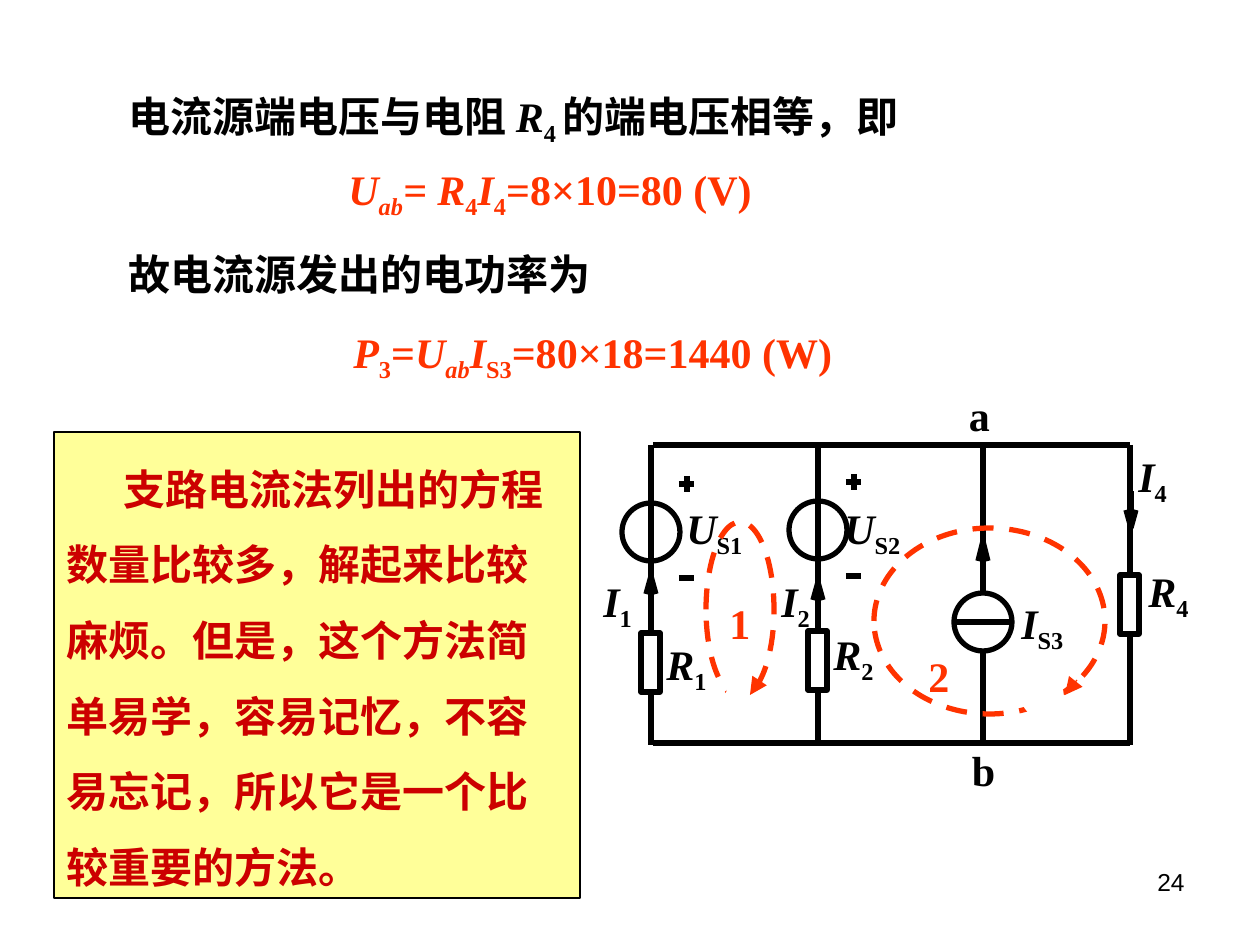
"""Build the slide on current-source power and the branch current method."""
from lxml import etree
from pptx import Presentation, util as u
from pptx.dml.color import RGBColor
from pptx.enum import dml, shapes, text
from pptx.oxml.ns import qn

PX = 914400 // 126
BLACK, WHITE, ORANGE, RED, YELLOW = "000000", "FFFFFF", "FF3300", "CC0000", "FFFF99"
SERIF, SANS = "Times New Roman", "Arial"
DIAMETER, RESISTOR = 58, (19, 59)

STATEMENTS = [
    ((116, 84, 851, 63), BLACK, [("电流源端电压与电阻 ", ""), ("R", "i"), ("4 ", "s"), ("的端电压相等，即", "")]),
    ((116, 242, 557, 63), BLACK, [("故电流源发出的电功率为", "")]),
    ((341, 320, 557, 63), ORANGE, [("P", "i"), ("3", "s"), ("=", ""), ("U", "i"), ("ab", "is"),
                                   ("I", "i"), ("S3", "s"), ("=80×18=1440 (W)", "")]),
    ((336, 157, 620, 63), ORANGE, [("U", "i"), ("ab", "is"), ("= R", "i"), ("4", "s"), ("I", "i"),
                                   ("4", "s"), ("=8×10=80 (V)", "")]),
]
COMMENT = "支路电流法列出的方程数量比较多，解起来比较麻烦。但是，这个方法简单易学，容易记忆，不容易忘记，所以它是一个比较重要的方法。"
PART_LABELS = [("U", "S1", 674, 496, 116), ("U", "S2", 832, 496, 126), ("I", "S3", 1009, 591, 95),
               ("R", "1", 654, 632, 84), ("R", "2", 821, 622, 95), ("R", "4", 1136, 559, 95)]
CURRENT_LABELS = [("I", "2", 769, 569, 73), ("I", "1", 591, 569, 73), ("I", "4", 1126, 444, 84)]
LOOP_LABELS = [("1", 717, 591, 63), ("2", 916, 644, 73)]
NODE_LABELS = [("a", 950, 383, 59), ("b", 954, 738, 59)]
SOURCE_BRANCHES = [(818, 443, 582), (651, 445, 576)]
LOOPS = [(706, 522, 68, 175), (874, 528, 231, 186)]
LOOP_GAPS = [(1021, 675, 43), (726, 679, 30)]
LOOP_ARROWS = [(1077, 680, 1065, 695), (764, 674, 750, 695)]

deck = Presentation()
deck.slide_width, deck.slide_height = u.Inches(10), u.Inches(7.5)
page = deck.slides.add_slide(deck.slide_layouts[6])


def emu(*lengths):
    return [length * PX for length in lengths]


def color(value):
    return RGBColor.from_string(value)


def write(box, spans, ink, size=24, font=SERIF, bold=True, align=None):
    frame = box.text_frame
    frame.word_wrap = True
    frame.vertical_anchor = text.MSO_ANCHOR.TOP
    para = frame.paragraphs[0]
    para.alignment = align or text.PP_ALIGN.LEFT
    for words, style in spans:
        span = para.add_run()
        span.text = words
        span.font.size, span.font.name, span.font.bold = u.Pt(size), font, bold
        span.font.italic = "i" in style
        span.font.color.rgb = color(ink)
        if "s" in style:
            span.font._element.set("baseline", "-25000")
    return para


def label(place, spans, ink=BLACK, **look):
    box = page.shapes.add_textbox(*emu(*place))
    write(box, spans, ink, **look)
    box.text_frame.auto_size = text.MSO_AUTO_SIZE.SHAPE_TO_FIT_TEXT


def symbols(labels):
    for letter, index, x, y, width in labels:
        label((x, y, width, 63), [(letter, "i"), (index, "s")])


def shape(kind, place, fill=None, line=None, weight=3, dash=False):
    item = page.shapes.add_shape(kind, *emu(*place))
    item.shadow.inherit = False
    if fill:
        item.fill.solid()
        item.fill.fore_color.rgb = color(fill)
    else:
        item.fill.background()
    if line:
        item.line.color.rgb = color(line)
        item.line.width = u.Pt(weight)
        if dash:
            item.line.dash_style = dml.MSO_LINE.DASH
    else:
        item.line.fill.background()
    return item


def wire(x1, y1, x2, y2, ink=BLACK, weight=3, head=False):
    line = page.shapes.add_connector(shapes.MSO_CONNECTOR.STRAIGHT, *emu(x1, y1, x2, y2))
    line.line.color.rgb = color(ink)
    line.line.width = u.Pt(weight)
    if head:
        etree.SubElement(line.line._get_or_add_ln(), qn("a:tailEnd"), type="triangle", w="lg", len="lg")
    etree.SubElement(line._element.spPr, qn("a:effectLst"))


def current_arrow(x, tip, barb, shaft):
    for side in (-5, 5):
        wire(x, tip, x + side, barb)
    wire(x, tip, x, shaft)


def circle(x, y):
    shape(shapes.MSO_SHAPE.OVAL, (x - DIAMETER // 2, y, DIAMETER, DIAMETER), WHITE, BLACK)


def resistor(x, y):
    shape(shapes.MSO_SHAPE.RECTANGLE, (x - 10, y, *RESISTOR), WHITE, BLACK)


def source_branch(x, top, tip):
    circle(x, top + 58)
    wire(x, top, x, top + 173)
    for y in (top + 39, top + 133):
        wire(x + 28, y, x + 43, y)
    wire(x + 36, top + 31, x + 36, top + 47)
    wire(x, top + 127, x, top + 300)
    resistor(x, top + 188)
    current_arrow(x, tip, tip + 18, tip + 35)


def circuit():
    symbols(PART_LABELS)
    for x in (1130, 983):
        wire(x, 445, x, 745)
    for branch in SOURCE_BRANCHES:
        source_branch(*branch)
    circle(983, 593)
    wire(954, 622, 1011, 622)
    current_arrow(983, 541, 561, 582)
    resistor(1130, 575)
    current_arrow(1131, 528, 510, 491)
    for y in (445, 743):
        wire(653, y, 1130, y)
    for place in LOOPS:
        shape(shapes.MSO_SHAPE.OVAL, place, line=ORANGE, dash=True)
    for x, y, size in LOOP_GAPS:
        shape(shapes.MSO_SHAPE.OVAL, (x, y, size, size), WHITE)
    for ends in LOOP_ARROWS:
        wire(*ends, ORANGE, 0.75, head=True)
    symbols(CURRENT_LABELS)
    for name, x, y, width in LOOP_LABELS:
        label((x, y, width, 63), [(name, "")], ORANGE)
    for name, x, y, width in NODE_LABELS:
        label((x, y, width, 63), [(name, "")], align=text.PP_ALIGN.CENTER)


def main():
    for place, ink, spans in STATEMENTS:
        label(place, spans, ink)
    comment = shape(shapes.MSO_SHAPE.RECTANGLE, (54, 432, 526, 466), YELLOW, BLACK, 0.75)
    para = write(comment, [(COMMENT, "")], RED)
    para.line_spacing = 1.5
    para._p.get_or_add_pPr().set("indent", str(57 * PX))
    circuit()
    label((903, 861, 294, 65), [("24", "")], size=14, font=SANS, bold=False, align=text.PP_ALIGN.RIGHT)
    deck.save("out.pptx")


if __name__ == "__main__":
    main()
